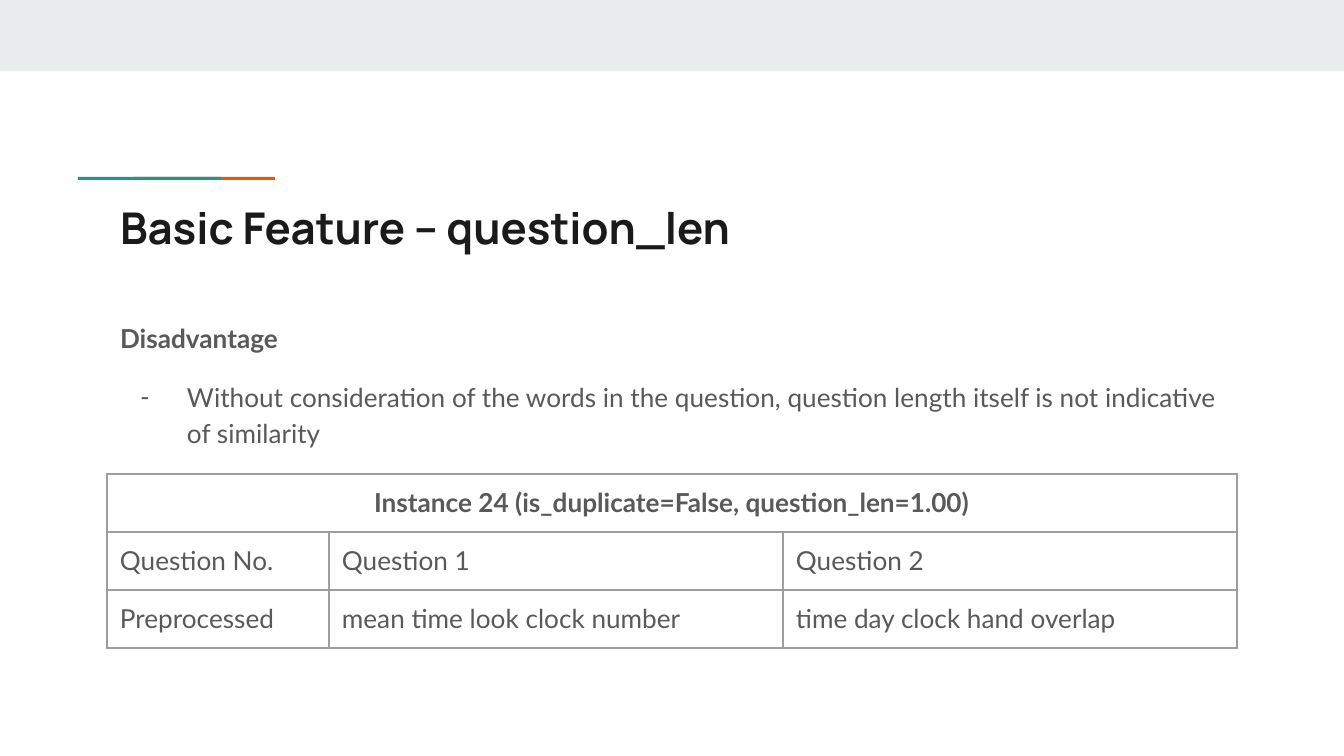
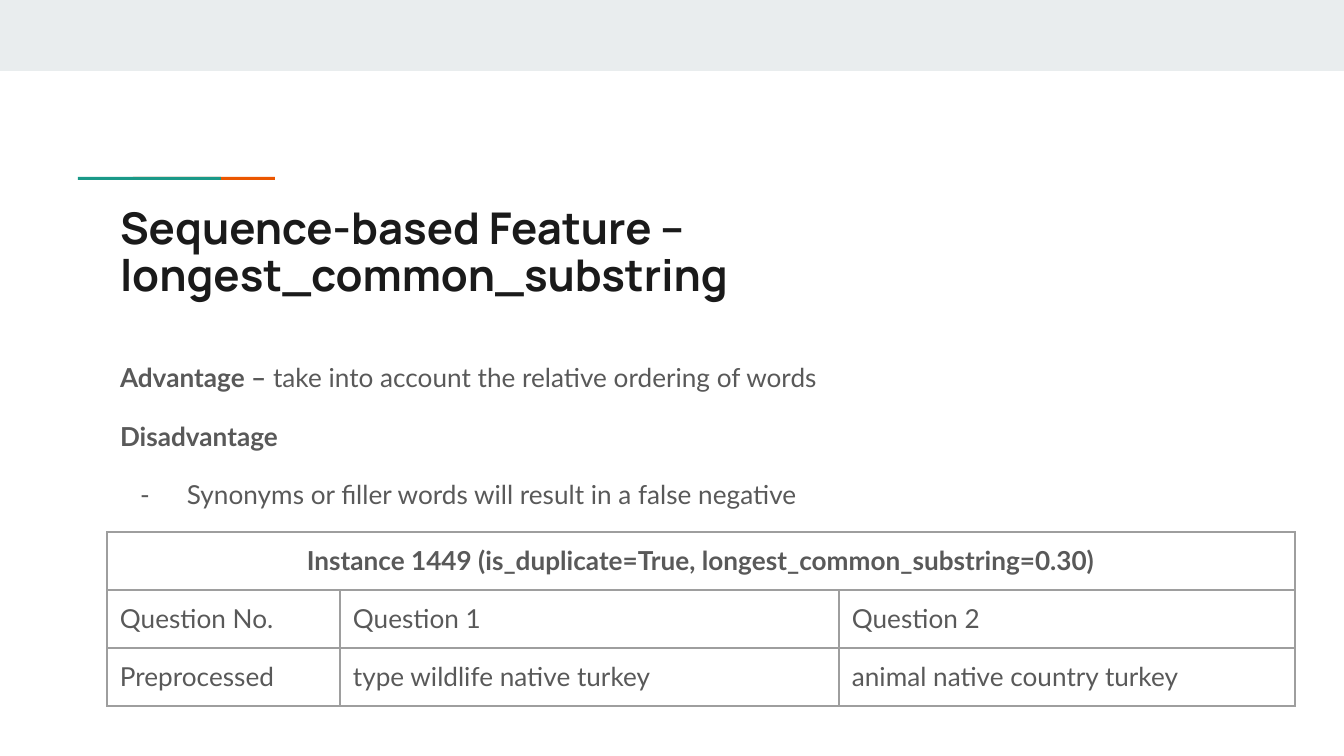
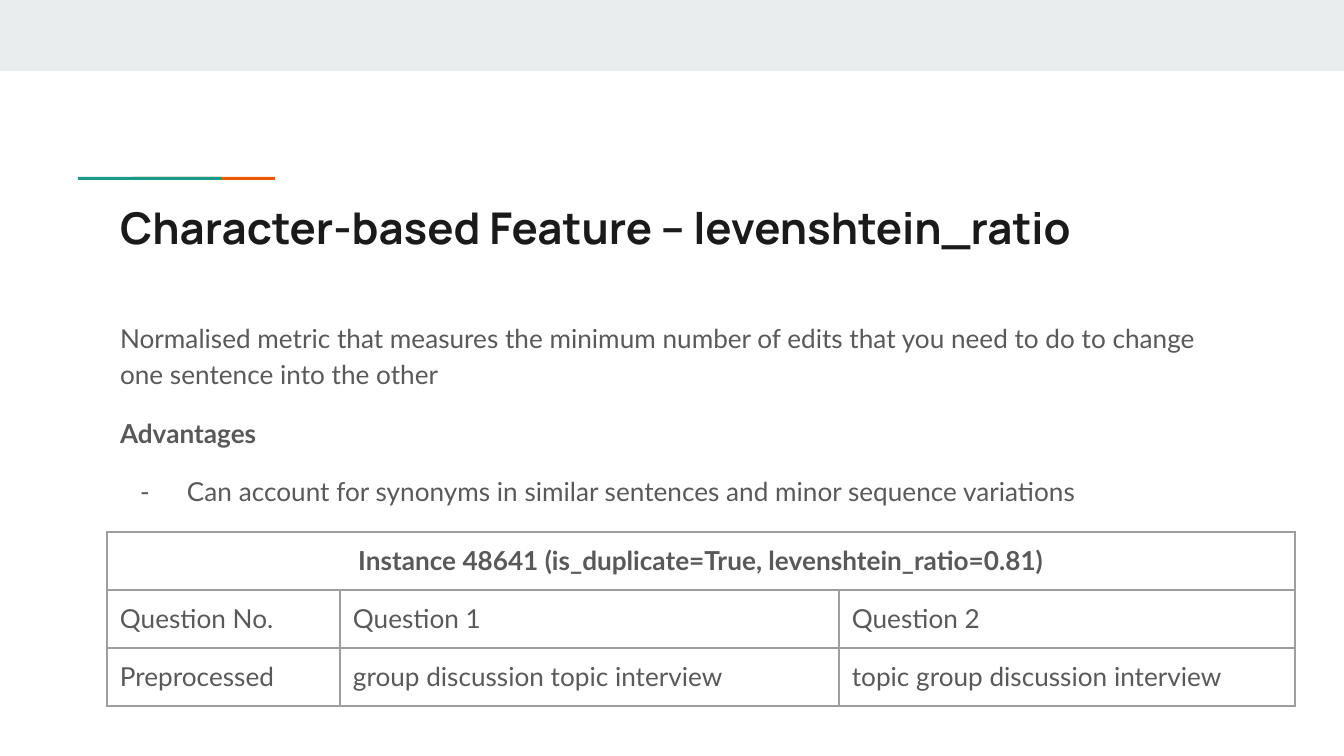
"""Build three slides that compare question-similarity features."""
from dataclasses import dataclass

from lxml.etree import SubElement
from pptx import Presentation
from pptx.dml.color import RGBColor
from pptx.enum.shapes import MSO_SHAPE
from pptx.enum.text import MSO_ANCHOR, MSO_AUTO_SIZE, PP_ALIGN
from pptx.oxml.ns import qn
from pptx.util import Emu, Pt

EMU_PER_PX = 914400 / 134.4
SLIDE_WIDTH, SLIDE_HEIGHT = 1344, 756
LEFT, CONTENT_WIDTH, TITLE_TOP = 107, 1130, 194
INSET, ROW_HEIGHT = 13, 58
BULLET_MARGIN, BULLET_HANG = 67, 47

BAND = RGBColor(0xE9, 0xED, 0xEE)
ORANGE = RGBColor(0xEB, 0x56, 0x00)
TEAL = RGBColor(0x1A, 0x99, 0x88)
TITLE_COLOR = RGBColor(0x1A, 0x1A, 0x1A)
TEXT_COLOR = RGBColor(0x59, 0x59, 0x59)
BORDER_COLOR = RGBColor(0x9E, 0x9E, 0x9E)
TITLE_FONT, TEXT_FONT = "Manrope", "Lato"


@dataclass
class Line:
    """One body paragraph: a bold lead, then plain text."""
    lead: str = ""
    text: str = ""
    bullet: bool = False


@dataclass
class Feature:
    """The content and the box sizes of one feature slide."""
    title: str
    title_height: int
    body_top: int
    body_height: int
    lines: list
    table_top: int
    column_widths: list
    instance: str
    questions: list


def px(length):
    """Turn pixels into EMU."""
    return Emu(round(length * EMU_PER_PX))


def style_font(font, name, size, color):
    """Set the typeface, size and colour of a font."""
    font.name, font.size = name, Pt(size)
    font.color.rgb = color


def place_placeholder(placeholder, box):
    """Move a placeholder to its box and return its top-anchored text frame."""
    placeholder.left, placeholder.top, placeholder.width, placeholder.height = map(px, box)
    frame = placeholder.text_frame
    frame.auto_size = MSO_AUTO_SIZE.NONE
    frame.word_wrap = True
    frame.vertical_anchor = MSO_ANCHOR.TOP
    frame.margin_left = frame.margin_right = px(INSET)
    frame.margin_top = frame.margin_bottom = px(INSET)
    return frame


def add_bar(slide, box, color):
    """Add a plain filled rectangle."""
    bar = slide.shapes.add_shape(MSO_SHAPE.RECTANGLE, *map(px, box))
    bar.shadow.inherit = False
    bar.fill.solid()
    bar.fill.fore_color.rgb = color
    bar.line.fill.background()


def add_decoration(slide):
    """Add the top band and the two-colour accent rule."""
    add_bar(slide, (0, 0, SLIDE_WIDTH, 71), BAND)
    add_bar(slide, (133, 177, 142, 3), ORANGE)
    add_bar(slide, (78, 177, 143, 3), TEAL)


def fill_title(placeholder, box, text):
    """Write the slide title."""
    frame = place_placeholder(placeholder, box)
    frame.text = text
    paragraph = frame.paragraphs[0]
    paragraph.alignment = PP_ALIGN.LEFT
    paragraph.line_spacing = 0.9
    style_font(paragraph.font, TITLE_FONT, 23.4, TITLE_COLOR)
    paragraph.font.bold = True


def set_bullet(paragraph, bullet):
    """Give a paragraph a hanging dash, or no bullet at all."""
    properties = paragraph._p.get_or_add_pPr()
    properties.set("marL", str(px(BULLET_MARGIN) if bullet else 0))
    properties.set("indent", str(-px(BULLET_HANG) if bullet else 0))
    if bullet:
        color = SubElement(properties, qn("a:buClr"))
        SubElement(color, qn("a:srgbClr"), val=str(TEXT_COLOR))
        SubElement(properties, qn("a:buFont"), typeface=TEXT_FONT)
        SubElement(properties, qn("a:buChar"), char="-")
    else:
        SubElement(properties, qn("a:buNone"))


def fill_body(placeholder, box, lines):
    """Write the body paragraphs."""
    frame = place_placeholder(placeholder, box)
    for index, line in enumerate(lines):
        paragraph = frame.add_paragraph() if index else frame.paragraphs[0]
        paragraph.line_spacing = 1.15
        paragraph.space_before = Pt(12 if index else 0)
        set_bullet(paragraph, line.bullet)
        style_font(paragraph.font, TEXT_FONT, 14, TEXT_COLOR)
        for text, bold in ((line.lead, True), (line.text, False)):
            if text:
                run = paragraph.add_run()
                run.text, run.font.bold = text, bold


def style_cell(cell):
    """Give a cell thin borders, no fill and even margins."""
    properties = cell._tc.get_or_add_tcPr()
    for side in ("lnL", "lnR", "lnT", "lnB"):
        border = SubElement(properties, qn(f"a:{side}"), w=str(Pt(0.75)))
        fill = SubElement(border, qn("a:solidFill"))
        SubElement(fill, qn("a:srgbClr"), val=str(BORDER_COLOR))
    cell.fill.background()
    cell.margin_left = cell.margin_right = px(INSET)
    cell.margin_top = cell.margin_bottom = px(INSET)


def add_instance_table(slide, left, top, column_widths, instance, questions):
    """Add the example table with a heading across all columns."""
    rows = [
        [instance, "", ""],
        ["Question No.", "Question 1", "Question 2"],
        ["Preprocessed", *questions],
    ]
    box = (left, top, sum(column_widths), ROW_HEIGHT * len(rows))
    table = slide.shapes.add_table(len(rows), len(column_widths), *map(px, box)).table
    table.first_row = table.horz_banding = False
    for column, width in zip(table.columns, column_widths):
        column.width = px(width)
    for row_index, row in enumerate(rows):
        table.rows[row_index].height = px(ROW_HEIGHT)
        for column_index, text in enumerate(row):
            cell = table.cell(row_index, column_index)
            style_cell(cell)
            cell.text = text
            paragraph = cell.text_frame.paragraphs[0]
            style_font(paragraph.font, TEXT_FONT, 14, TEXT_COLOR)
            paragraph.font.bold = row_index == 0
    table.cell(0, 0).merge(table.cell(0, len(column_widths) - 1))
    table.cell(0, 0).text_frame.paragraphs[0].alignment = PP_ALIGN.CENTER


def add_feature_slide(presentation, feature):
    """Add one slide with a title, body text and example table."""
    slide = presentation.slides.add_slide(presentation.slide_layouts[1])
    add_decoration(slide)
    title_box = (LEFT, TITLE_TOP, CONTENT_WIDTH, feature.title_height)
    fill_title(slide.shapes.title, title_box, feature.title)
    body_box = (LEFT, feature.body_top, CONTENT_WIDTH, feature.body_height)
    fill_body(slide.placeholders[1], body_box, feature.lines)
    add_instance_table(slide, LEFT, feature.table_top, feature.column_widths,
                       feature.instance, feature.questions)


FEATURES = [
    Feature(
        title="Basic Feature – question_len",
        title_height=79, body_top=305, body_height=169,
        lines=[
            Line(lead="Disadvantage"),
            Line(text="Without consideration of the words in the question, question length "
                      "itself is not indicative of similarity", bullet=True),
        ],
        table_top=474, column_widths=[222, 454, 454],
        instance="Instance 24 (is_duplicate=False, question_len=1.00)",
        questions=["mean time look clock number", "time day clock hand overlap"],
    ),
    Feature(
        title="Sequence-based Feature – longest_common_substring",
        title_height=128, body_top=344, body_height=180,
        lines=[
            Line("Advantage –", " take into account the relative ordering of words"),
            Line(lead="Disadvantage"),
            Line(text="Synonyms or filler words will result in a false negative", bullet=True),
        ],
        table_top=532, column_widths=[233, 499, 456],
        instance="Instance 1449 (is_duplicate=True, longest_common_substring=0.30)",
        questions=["type wildlife native turkey", "animal native country turkey"],
    ),
    Feature(
        title="Character-based Feature – levenshtein_ratio",
        title_height=79, body_top=305, body_height=332,
        lines=[
            Line(text="Normalised metric that measures the minimum number of edits that you "
                      "need to do to change one sentence into the other"),
            Line(lead="Advantages"),
            Line(text="Can account for synonyms in similar sentences and minor sequence "
                      "variations", bullet=True),
        ],
        table_top=532, column_widths=[233, 499, 456],
        instance="Instance 48641 (is_duplicate=True, levenshtein_ratio=0.81)",
        questions=["group discussion topic interview", "topic group discussion interview"],
    ),
]


def main():
    """Build and save the presentation."""
    presentation = Presentation()
    presentation.slide_width, presentation.slide_height = px(SLIDE_WIDTH), px(SLIDE_HEIGHT)
    for feature in FEATURES:
        add_feature_slide(presentation, feature)
    presentation.save("out.pptx")


if __name__ == "__main__":
    main()
